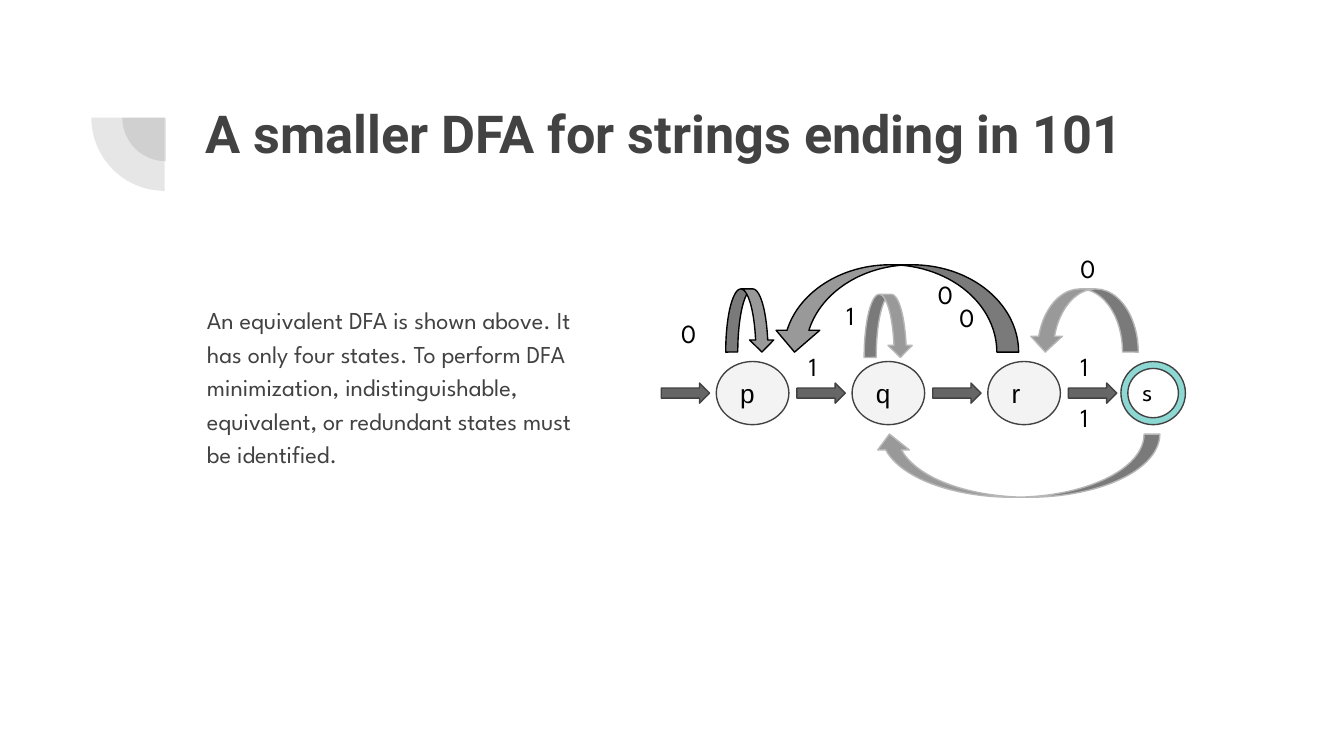
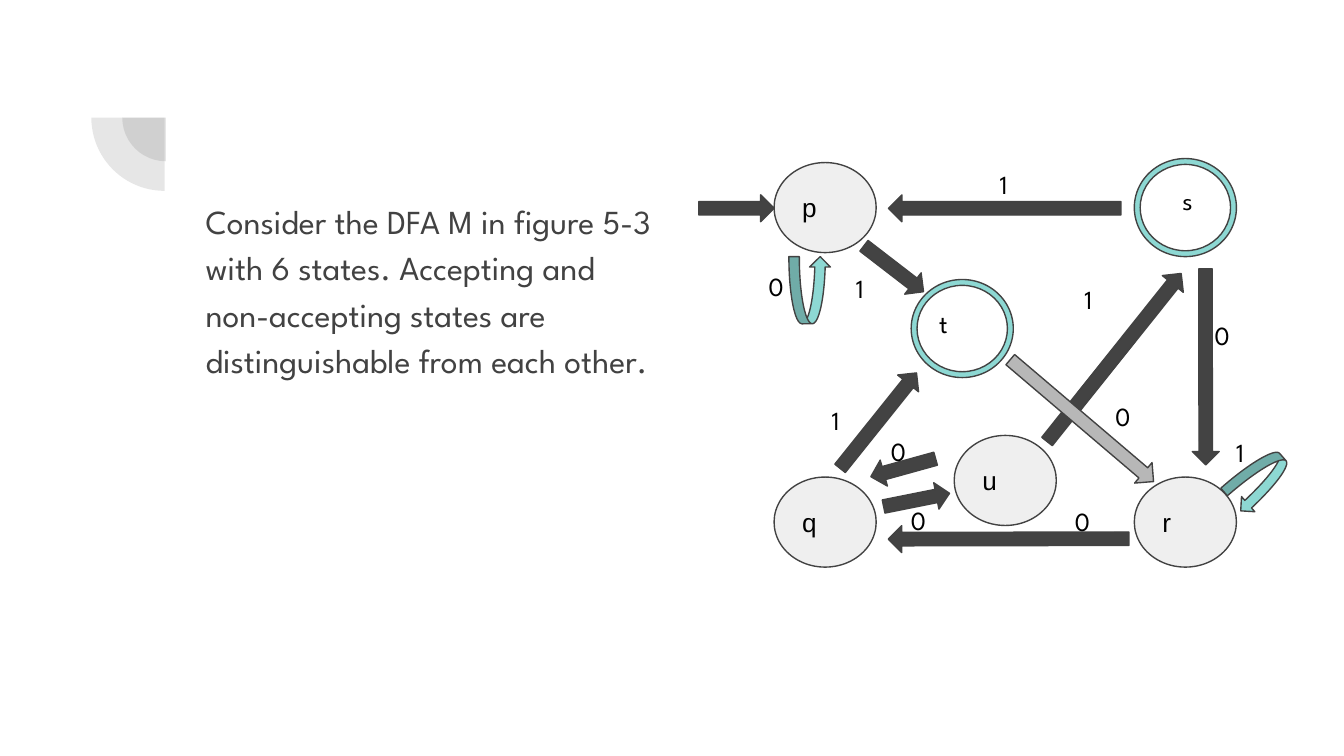
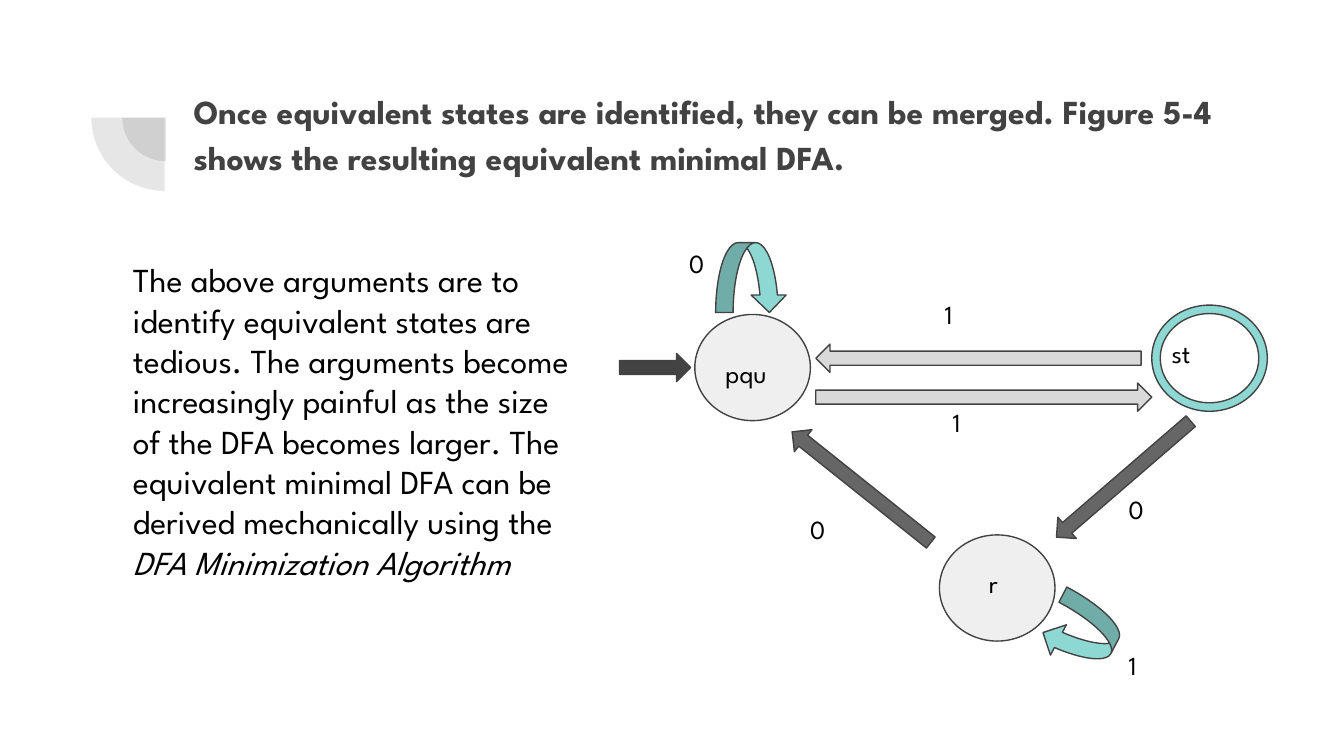
"""Build three slides on minimising finite automata, with state diagrams."""
import dataclasses

import lxml.etree
import pptx
import pptx.dml.color
import pptx.enum.shapes
import pptx.enum.text
import pptx.oxml.ns
import pptx.util

Inches = pptx.util.Inches
Kind = pptx.enum.shapes.MSO_SHAPE


@dataclasses.dataclass(frozen=True)
class Theme:
    ink: str = "424242"
    black: str = "000000"
    dark: str = "434343"
    medium: str = "666666"
    curve: str = "999999"
    silver: str = "B7B7B7"
    pale: str = "D9D9D9"
    state: str = "EFEFEF"
    light_state: str = "F3F3F3"
    accent: str = "8DD8D3"
    heading_font: str = "Roboto"
    text_font: str = "League Spartan"
    state_font: str = "Arial"
    heading_size: int = 28
    text_size: int = 18
    label_size: int = 14
    small_size: int = 13


theme = Theme()


def add_figure(slide, kind, at, fill, line=theme.ink, rotation=0, flip=False):
    shape = slide.shapes.add_shape(kind, *map(Inches, at))
    shape.shadow.inherit = False
    shape.rotation = rotation
    shape.fill.solid()
    shape.fill.fore_color.rgb = pptx.dml.color.RGBColor.from_string(fill)
    if line:
        shape.line.color.rgb = pptx.dml.color.RGBColor.from_string(line)
        shape.line.width = pptx.util.Pt(0.75)
    else:
        shape.line.fill.background()
    if flip:
        shape.element.spPr.find(pptx.oxml.ns.qn("a:xfrm")).set("flipH", "1")
    return shape


def write(box, text, size, color=theme.black, font=theme.text_font, bold=False,
          anchor=pptx.enum.text.MSO_ANCHOR.TOP, at=None, spacing=None):
    if at:
        box.left, box.top, box.width, box.height = map(Inches, at)
    frame = box.text_frame
    frame.text = text
    frame.word_wrap = True
    frame.auto_size = pptx.enum.text.MSO_AUTO_SIZE.NONE
    frame.vertical_anchor = anchor
    frame.margin_left = frame.margin_right = Inches(0.1)
    frame.margin_top = frame.margin_bottom = Inches(0.1)
    para = frame.paragraphs[0]
    para.alignment = pptx.enum.text.PP_ALIGN.LEFT
    if spacing:
        properties = para._p.get_or_add_pPr()
        properties.set("marL", "0")
        properties.set("indent", "0")
        lxml.etree.SubElement(properties, pptx.oxml.ns.qn("a:buNone"))
        para.line_spacing = spacing
        para.space_before = pptx.util.Pt(0)
    span = para.runs[0]
    span.font.name = font
    span.font.size = pptx.util.Pt(size)
    span.font.bold = bold
    span.font.color.rgb = pptx.dml.color.RGBColor.from_string(color)
    return para


deck = pptx.Presentation()
deck.slide_width = Inches(10)
deck.slide_height = deck.slide_width * 9 // 16
layout = deck.slide_layouts[1]
smaller, distinct, merged = [deck.slides.add_slide(layout) for _ in range(3)]

for left, top, size in [(0.91, 0.55, 0.65), (0.68, 0.33, 1.09)]:
    pie = add_figure(smaller, Kind.PIE, (left, top, size, size), theme.ink, None, 270)
    pie.adjustments[0], pie.adjustments[1] = 108, 162
    color = pie.element.spPr.find(".//" + pptx.oxml.ns.qn("a:srgbClr"))
    lxml.etree.SubElement(color, pptx.oxml.ns.qn("a:alpha"), val="13000")
    deck.slide_master.shapes.element.append(pie.element)

write(smaller.shapes.title, "A smaller DFA for strings ending in 101", theme.heading_size,
      theme.ink, theme.heading_font, True, at=(1.43, 0.65, 7.69, 1.09))
for slide in (distinct, merged):
    title = slide.shapes.title.element
    title.getparent().remove(title)

for slide, text, size, bold, at in [
    (smaller, "An equivalent DFA is shown above. It has only four states. To perform DFA "
     "minimization, indistinguishable, equivalent, or redundant states must be identified.",
     theme.small_size, False, (1.44, 2.14, 2.93, 2.46)),
    (distinct, "Consider the DFA M in figure 5-3 with 6 states. Accepting and non-accepting "
     "states are distinguishable from each other.",
     theme.text_size, False, (1.43, 1.35, 3.57, 3.16)),
    (merged, "Once equivalent states are identified, they can be merged. Figure 5-4 shows "
     "the resulting equivalent minimal DFA.",
     theme.text_size, True, (1.34, 0.53, 8.09, 0.99)),
]:
    write(slide.placeholders[1], text, size, theme.ink, bold=bold, at=at, spacing=1.15)

closing = write(
    merged.shapes.add_textbox(0, 0, 0, 0),
    "The above arguments are to identify equivalent states are tedious. The arguments become "
    "increasingly painful as the size of the DFA becomes larger. The equivalent minimal DFA "
    "can be derived mechanically using the ",
    theme.text_size, at=(0.89, 1.83, 3.55, 3.42))
span = closing.add_run()
span.text = "DFA Minimization Algorithm"
span.font.name = theme.text_font
span.font.size = pptx.util.Pt(theme.text_size)
span.font.color.rgb = pptx.dml.color.RGBColor.from_string(theme.black)
span.font.italic = True

step = 1.01
for slide, fill, width, height, states in [
    (smaller, theme.light_state, 0.54, 0.47,
     [(name, 5.33 + step * i, 2.69) for i, name in enumerate("pqr")]),
    (distinct, theme.state, 0.76, 0.67,
     [("p", 5.76, 1.21), ("q", 5.76, 3.55), ("r", 8.44, 3.55), ("u", 7.1, 3.24)]),
    (merged, theme.state, 0.86, 0.79, [("", 5.17, 2.34), ("", 6.99, 3.98)]),
]:
    for name, left, top in states:
        state = add_figure(slide, Kind.OVAL, (left, top, width, height), fill)
        if name:
            write(state, name, theme.label_size, font=theme.state_font,
                  anchor=pptx.enum.text.MSO_ANCHOR.MIDDLE)

for slide, at, ring in [
    (smaller, (8.34, 2.69, 0.48, 0.47), 0.11),
    (distinct, (6.78, 2.08, 0.76, 0.73), 0.06),
    (distinct, (8.44, 1.18, 0.76, 0.73), 0.06),
    (merged, (8.57, 2.27, 0.86, 0.79), 0.08),
]:
    accepting = add_figure(slide, Kind.DONUT, at, theme.accent)
    accepting.adjustments[0] = ring

for slide, height, arrows in [
    (smaller, 0.15, [(4.92 + step * i, 2.85, 0.36, 0, theme.medium) for i in range(4)]),
    (distinct, 0.2, [
        (5.2, 1.45, 0.56, 0, theme.dark),
        (6.61, 1.45, 1.73, 180, theme.dark),
        (6.37, 1.9, 0.56, 37.6, theme.dark),
        (6.08, 3.03, 0.91, 308.7, theme.dark),
        (7.49, 2.56, 1.6, 308.6, theme.dark),
        (7.35, 3.03, 1.4, 40.4, theme.silver),
        (8.24, 2.63, 1.46, 89.9, theme.dark),
        (6.61, 3.91, 1.79, 179.9, theme.dark),
        (6.47, 3.38, 0.5, 164.5, theme.dark),
        (6.57, 3.62, 0.5, 348.7, theme.dark),
    ]),
    (merged, 0.21, [
        (6.07, 2.85, 2.5, 0, theme.pale),
        (6.07, 2.56, 2.42, 180, theme.pale),
        (7.7, 3.46, 1.32, 139.2, theme.medium),
        (5.75, 3.52, 1.32, 218.6, theme.medium),
        (4.61, 2.63, 0.53, 0, theme.dark),
    ]),
]:
    for left, top, width, rotation, fill in arrows:
        add_figure(slide, Kind.RIGHT_ARROW, (left, top, width, height), fill, rotation=rotation)

for at, line, rotation, flip in [
    ((5.4, 2.15, 0.36, 0.47), theme.black, 0, False),
    ((6.43, 2.19, 0.36, 0.47), theme.silver, 0, False),
    ((5.75, 1.97, 1.83, 0.65), theme.black, 0, True),
    ((7.66, 2.15, 0.81, 0.47), theme.silver, 0, True),
    ((6.5, 3.23, 2.13, 0.47), theme.silver, 180, False),
]:
    add_figure(smaller, Kind.CURVED_DOWN_ARROW, at, theme.curve, line, rotation, flip)

for slide, kind, at, rotation, flip in [
    (distinct, Kind.CURVED_UP_ARROW, (5.87, 1.91, 0.31, 0.5), 0, False),
    (distinct, Kind.CURVED_UP_ARROW, (9.22, 3.33, 0.3, 0.5), 228.6, True),
    (merged, Kind.CURVED_LEFT_ARROW, (7.79, 4.46, 0.52, 0.51), 27.7, False),
    (merged, Kind.CURVED_LEFT_ARROW, (5.33, 1.8, 0.52, 0.53), 270, False),
]:
    add_figure(slide, kind, at, theme.accent, rotation=rotation, flip=flip)

for slide, width, height, labels in [
    (smaller, 0.36, 0.34, [
        ("s", 8.4, 2.69), ("0", 4.97, 2.26), ("1", 5.92, 2.51),
        ("1", 6.2, 2.13), ("0", 6.88, 1.97), ("0", 7.94, 1.78),
        ("1", 7.94, 2.51), ("1", 7.94, 2.89), ("0", 7.04, 2.14),
    ]),
    (distinct, 0.53, 0.5, [
        ("s", 8.7, 1.27), ("1", 9.1, 3.15), ("0", 8.94, 2.28), ("0", 8.2, 2.88),
        ("0", 7.9, 3.66), ("0", 6.68, 3.65), ("0", 6.53, 3.14), ("1", 6.09, 2.91),
        ("t", 6.89, 2.19), ("1", 7.34, 1.15), ("1", 7.97, 2.01), ("0", 5.62, 1.91),
        ("1", 6.27, 1.93),
    ]),
    (merged, 1.14, 0.65, [
        ("pqu", 5.3, 2.56), ("st", 8.62, 2.41), ("1", 6.93, 2.12),
        ("1", 6.99, 2.92), ("0", 8.3, 3.57), ("1", 8.3, 4.73),
        ("0", 5.93, 3.72), ("0", 5.03, 1.74), ("r", 7.26, 4.12),
    ]),
]:
    for text, left, top in labels:
        label = slide.shapes.add_textbox(0, 0, 0, 0)
        write(label, text, theme.label_size, at=(left, top, width, height))

deck.save("out.pptx")
